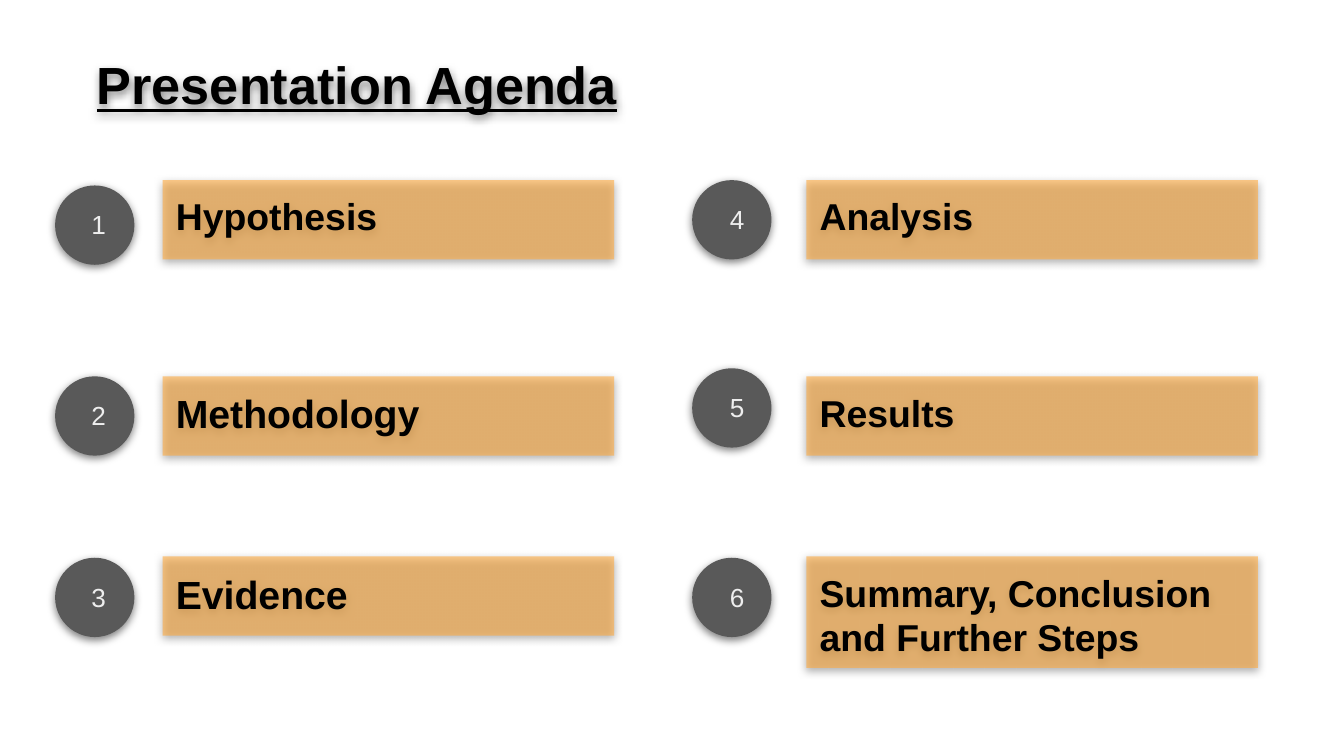
"""Build an agenda slide with six numbered topics in two columns."""
from lxml.etree import SubElement
from pptx import Presentation
from pptx.dml.color import RGBColor
from pptx.enum.shapes import MSO_SHAPE
from pptx.enum.text import MSO_ANCHOR, MSO_AUTO_SIZE, PP_ALIGN
from pptx.oxml.ns import qn
from pptx.util import Inches, Pt

BLACK = RGBColor(0x00, 0x00, 0x00)
GREY = RGBColor(0x59, 0x59, 0x59)
PALE = RGBColor(0xEE, 0xEE, 0xEE)
ORANGE = RGBColor(0xFF, 0xAB, 0x40)

BADGE = 0.59
COLUMNS = [(0.41, 1.21, 0.62), (5.15, 6, 5.37)]
ROWS = [1.34, 2.8, 4.14]
TOPICS = [
    ("Hypothesis", 20, 1.38, 1.49, BADGE),
    ("Methodology", 21, 2.8, 2.91, BADGE),
    ("Evidence", 21, 4.15, 4.26, BADGE),
    ("Analysis", 20, 1.34, 1.45, BADGE),
    ("Results", 20, 2.74, 2.85, BADGE),
    ("Summary, Conclusion and Further Steps", 20, 4.15, 4.26, 0.83),
]


def add_shadow(shape):
    """Give the shape a soft shadow that falls straight down."""
    shape.shadow.inherit = False
    effects = shape._element.spPr.find(qn("a:effectLst"))
    shadow = SubElement(effects, qn("a:outerShdw"), blurRad=str(Pt(4.5)),
                        dist=str(Pt(1.5)), dir="5400000", algn="bl", rotWithShape="0")
    color = SubElement(shadow, qn("a:srgbClr"), val="000000")
    SubElement(color, qn("a:alpha"), val="50000")


def write(shape, text, size, color, align, anchor, insets, wrap=True, **font_format):
    """Fill the shape with one formatted paragraph."""
    frame = shape.text_frame
    sides = dict(zip(("margin_left", "margin_top", "margin_right", "margin_bottom"),
                     map(Inches, insets)))
    frame_format = {"word_wrap": wrap, "auto_size": MSO_AUTO_SIZE.NONE,
                    "vertical_anchor": anchor, **sides}
    for name, value in frame_format.items():
        setattr(frame, name, value)
    para = frame.paragraphs[0]
    para.alignment = align
    span = para.add_run()
    span.text = text
    span.font.color.rgb = color
    for name, value in {"name": "Arial", "size": Pt(size), **font_format}.items():
        setattr(span.font, name, value)


deck = Presentation()
deck.slide_width, deck.slide_height = Inches(10), Inches(10) * 9 // 16
page = deck.slides.add_slide(deck.slide_layouts[5])

title = page.shapes.title
for name, value in {"left": 0.62, "top": 0.16, "width": 8.3, "height": 0.93}.items():
    setattr(title, name, Inches(value))
write(title, "Presentation Agenda", 28, BLACK, PP_ALIGN.LEFT, MSO_ANCHOR.MIDDLE,
      [0.1] * 4, bold=True, underline=True)
add_shadow(title)

for index, (topic, size, badge_top, number_top, height) in enumerate(TOPICS):
    column, row = divmod(index, len(ROWS))
    badge_left, bar_left, number_left = COLUMNS[column]

    badge = page.shapes.add_shape(MSO_SHAPE.OVAL, Inches(badge_left), Inches(badge_top),
                                  Inches(BADGE), Inches(BADGE))
    bar = page.shapes.add_shape(MSO_SHAPE.RECTANGLE, Inches(bar_left), Inches(ROWS[row]),
                                Inches(3.36), Inches(height))
    for shape, color in ((badge, GREY), (bar, ORANGE)):
        shape.fill.solid()
        shape.fill.fore_color.rgb = color
        shape.line.fill.background()
        add_shadow(shape)
    tint = bar._element.spPr.find(qn("a:solidFill")).find(qn("a:srgbClr"))
    SubElement(tint, qn("a:alpha"), val="60000")
    write(bar, topic, size, BLACK, PP_ALIGN.LEFT, MSO_ANCHOR.TOP, [0.1] * 4, bold=True)

    number = page.shapes.add_textbox(Inches(number_left), Inches(number_top),
                                     Inches(0.16), Inches(0.36))
    write(number, str(index + 1), 14, PALE, PP_ALIGN.CENTER, MSO_ANCHOR.MIDDLE,
          [0.07, 0, 0, 0], wrap=False)

deck.save("out.pptx")
